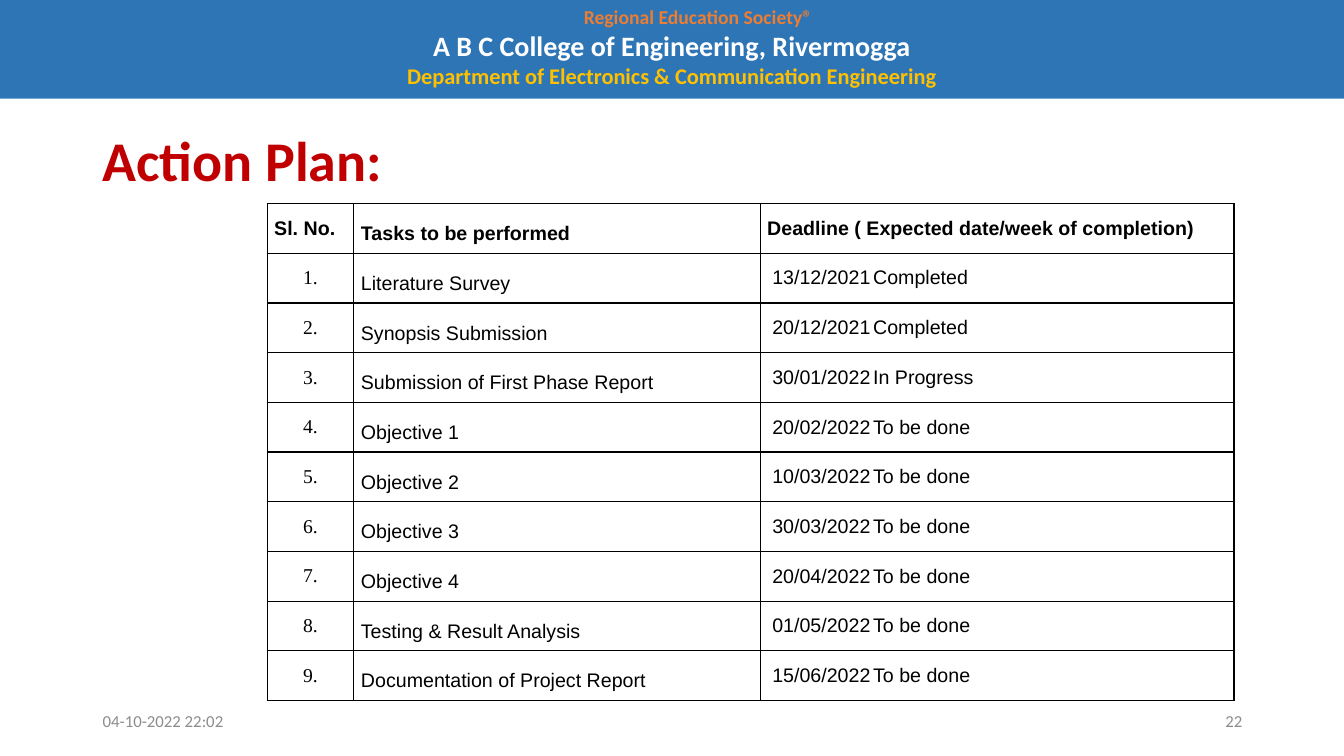
import typing
from dataclasses import dataclass

import lxml.etree
import pptx
import pptx.dml.color
import pptx.enum.shapes
import pptx.enum.text
import pptx.oxml.ns
import pptx.util

Inches = pptx.util.Inches
ALIGN = pptx.enum.text.PP_ALIGN
ANCHOR = pptx.enum.text.MSO_ANCHOR
COLORS = {
    "band": "2E75B6", "orange": "ED7D31", "white": "FFFFFF", "gold": "FFC000",
    "title": "C00000", "foot": "8C8C8C", "black": "000000",
}


@dataclass
class Line:
    text: str
    size: float
    color: str
    indent: float = 0


@dataclass
class Box:
    text: str
    left: float
    top: float
    width: float
    height: float
    size: float
    color: str
    bold: bool = False
    align: typing.Any = ALIGN.LEFT


@dataclass
class Task:
    name: str
    date: str
    state: str


BAND = [
    Line("Regional Education Society®", 14, "orange", 0.52),
    Line("A B C College of Engineering, Rivermogga", 20, "white"),
    Line("Department of Electronics & Communication Engineering", 16, "gold"),
]
BOXES = [
    Box("Action Plan:", 0.92, 1.3, 11.5, 0.65, 40, "title", bold=True),
    Box("04-10-2022 22:02", 0.92, 6.95, 3, 0.4, 12, "foot"),
    Box("22", 9.42, 6.95, 3, 0.4, 12, "foot", align=ALIGN.RIGHT),
]
HEADS = ["Sl. No.", "Tasks to be performed", "Deadline ( Expected date/week of completion)"]
TASKS = [
    Task("Literature Survey", "13/12/2021", "Completed"),
    Task("Synopsis Submission", "20/12/2021", "Completed"),
    Task("Submission of First Phase Report", "30/01/2022", "In Progress"),
    Task("Objective 1", "20/02/2022", "To be done"),
    Task("Objective 2", "10/03/2022", "To be done"),
    Task("Objective 3", "30/03/2022", "To be done"),
    Task("Objective 4", "20/04/2022", "To be done"),
    Task("Testing & Result Analysis", "01/05/2022", "To be done"),
    Task("Documentation of Project Report", "15/06/2022", "To be done"),
]
WIDTHS = [0.86, 4.03, 4.7]
HEIGHT = 0.493


def paint(hue: str) -> typing.Any:
    return pptx.dml.color.RGBColor.from_string(COLORS[hue])


def add_node(root: typing.Any, tag: str, **attrs: str) -> typing.Any:
    return lxml.etree.SubElement(root, pptx.oxml.ns.qn(tag), attrs)


def put_text(para: typing.Any, text: str, *, size: float = 14, color: str = "black",
             font: str = "Arial", bold: bool = False, align: typing.Any = ALIGN.LEFT,
             space: float = 1.0, indent: float = 0, tab: float = 0) -> None:
    para.alignment = align
    para.line_spacing = space
    run = para.add_run()
    run.text = text
    run.font.size = pptx.util.Pt(size)
    run.font.name = font
    run.font.bold = bold
    run.font.color.rgb = paint(color)
    props = para._p.get_or_add_pPr()
    if indent:
        props.set("marL", str(Inches(indent)))
        props.set("indent", "0")
    if tab:
        stops = add_node(props, "a:tabLst")
        add_node(stops, "a:tab", pos=str(Inches(tab)), algn="l")


def draw_band(slide: typing.Any) -> None:
    band = slide.shapes.add_shape(pptx.enum.shapes.MSO_SHAPE.RECTANGLE,
                                  0, 0, Inches(13.33), Inches(0.98))
    band.shadow.inherit = False
    band.fill.solid()
    band.fill.fore_color.rgb = paint("band")
    band.line.fill.background()
    frame = band.text_frame
    frame.word_wrap = True
    frame.vertical_anchor = ANCHOR.TOP
    for spot, line in enumerate(BAND):
        para = frame.add_paragraph() if spot else frame.paragraphs[0]
        put_text(para, line.text, size=line.size, color=line.color, font="Calibri",
                 bold=True, align=ALIGN.CENTER, indent=line.indent)


def draw_box(slide: typing.Any, box: Box) -> None:
    shape = slide.shapes.add_textbox(Inches(box.left), Inches(box.top),
                                     Inches(box.width), Inches(box.height))
    frame = shape.text_frame
    frame.word_wrap = True
    frame.vertical_anchor = ANCHOR.MIDDLE
    put_text(frame.paragraphs[0], box.text, size=box.size, color=box.color,
             font="Calibri", bold=box.bold, align=box.align,
             space=0.9 if box.bold else 1.0)


def style_cell(cell: typing.Any) -> None:
    cell.vertical_anchor = ANCHOR.MIDDLE
    cell.margin_left = cell.margin_right = Inches(0.07)
    cell.margin_top = cell.margin_bottom = 0
    props = cell._tc.get_or_add_tcPr()
    for side in ("L", "R", "T", "B"):
        edge = add_node(props, f"a:ln{side}", w=str(pptx.util.Pt(1)))
        add_node(add_node(edge, "a:solidFill"), "a:srgbClr", val=COLORS["black"])
    cell.fill.background()


def draw_table(slide: typing.Any) -> None:
    count = len(TASKS) + 1
    table = slide.shapes.add_table(count, len(WIDTHS), Inches(2.65), Inches(2.02),
                                   Inches(sum(WIDTHS)), Inches(HEIGHT * count)).table
    table.first_row = table.horz_banding = False
    for col, width in zip(table.columns, WIDTHS):
        col.width = Inches(width)
    rows = [HEADS] + [[f"{num}.", task.name, f"{task.date}\t{task.state}"]
                      for num, task in enumerate(TASKS, 1)]
    forms = [
        dict(font="Times New Roman", align=ALIGN.CENTER),
        dict(space=1.5),
        dict(indent=0.05, tab=1.13),
    ]
    heads = [dict(bold=True), dict(bold=True, space=1.5), dict(bold=True)]
    for spot, texts in enumerate(rows):
        table.rows[spot].height = Inches(HEIGHT)
        for col, (text, form) in enumerate(zip(texts, forms if spot else heads)):
            cell = table.cell(spot, col)
            style_cell(cell)
            put_text(cell.text_frame.paragraphs[0], text, **form)


def main() -> None:
    deck = pptx.Presentation()
    deck.slide_width, deck.slide_height = Inches(13.33), Inches(7.5)
    slide = deck.slides.add_slide(deck.slide_layouts[6])
    draw_band(slide)
    for box in BOXES:
        draw_box(slide, box)
    draw_table(slide)
    deck.save("out.pptx")


if __name__ == "__main__":
    main()
